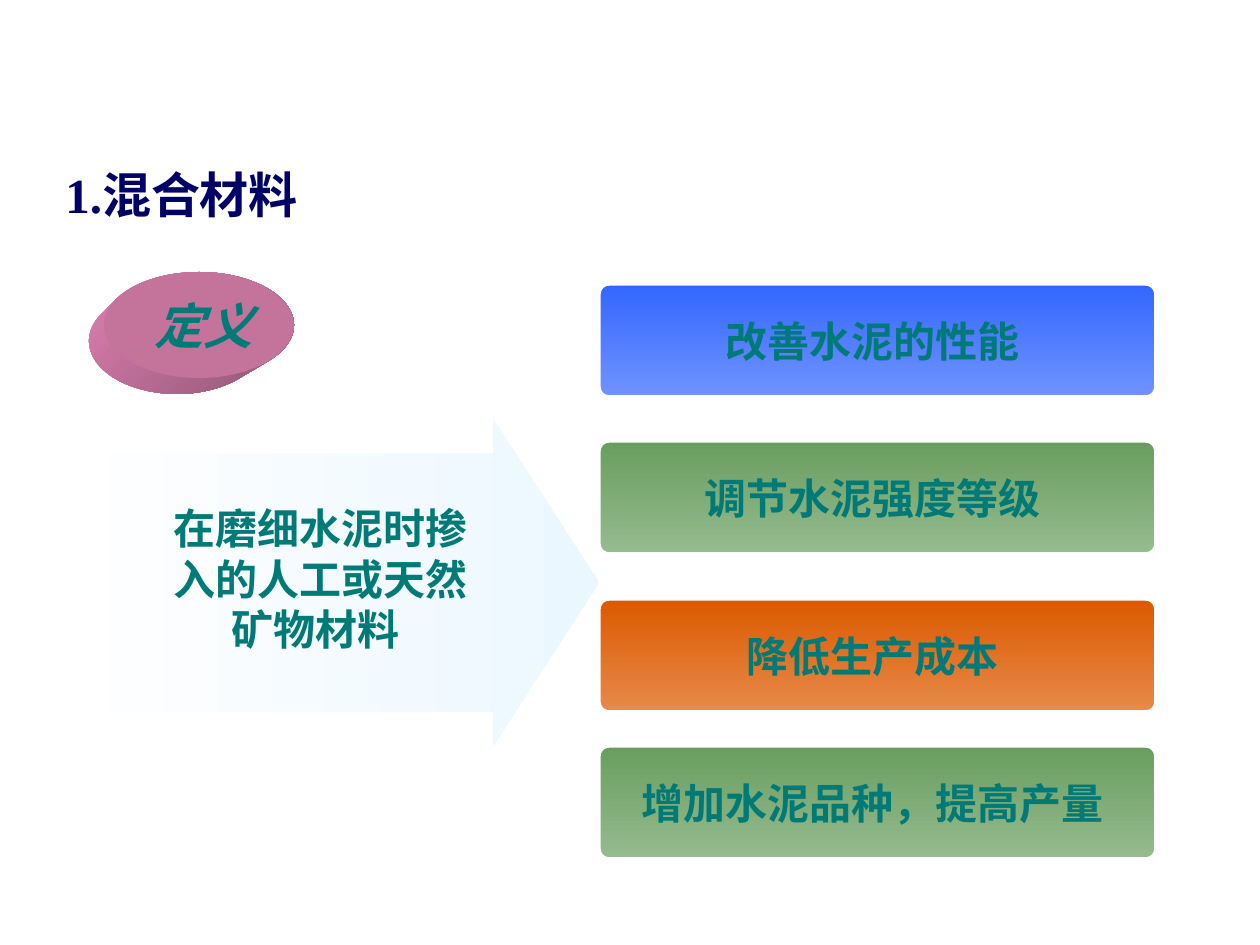
from math import cos, hypot, pi, sin

from pptx import Presentation
from pptx.dml.color import RGBColor
from pptx.enum.shapes import MSO_SHAPE
from pptx.enum.text import MSO_ANCHOR, PP_ALIGN
from pptx.util import Pt

ELLIPSE, ARROW, ROUND = MSO_SHAPE.OVAL, MSO_SHAPE.RIGHT_ARROW, MSO_SHAPE.ROUNDED_RECTANGLE
MIDDLE, CENTER = MSO_ANCHOR.MIDDLE, PP_ALIGN.CENTER
SCALE = 914400 / 126
FONT = "Times New Roman"
TEAL, NAVY, WHITE = "007A77", "000066", "FFFFFF"
CORNER = 0.09
BENEFITS = [
    (284, "改善水泥的性能 ", "3366FF", "7093FF"),
    (441, "调节水泥强度等级 ", "699D5F", "96BB8F"),
    (599, "降低生产成本 ", "DC5900", "E78A4A"),
    (746, "增加水泥品种，提高产量 ", "699D5F", "96BB8F"),
]


def px(n):
    """Turn px into EMU."""
    return round(n * SCALE)


def color(value):
    """Turn a hex string into a colour."""
    return RGBColor.from_string(value)


def add_shape(s, kind, box, adjustments=()):
    """Add a preset shape with no shadow, fill or line."""
    sp = s.shapes.add_shape(kind, *map(px, box))
    sp.shadow.inherit = False
    sp.fill.background()
    sp.line.fill.background()
    for i, value in enumerate(adjustments):
        sp.adjustments[i] = value
    return sp


def set_gradient(sp, start, end, angle):
    """Fill a shape with a linear gradient of two colours."""
    sp.fill.gradient()
    sp.fill.gradient_angle = angle
    for stop, value in zip(sp.fill.gradient_stops, (start, end)):
        stop.color.rgb = color(value)


def set_text(sp, text, size, fill=TEAL, wrap=False):
    """Write one bold paragraph into a shape and return it."""
    tf = sp.text_frame
    tf.word_wrap = wrap
    p = tf.paragraphs[0]
    p.text = text
    p.font.name, p.font.size, p.font.bold = FONT, Pt(size), True
    p.font.color.rgb = color(fill)
    return p


def set_label(sp, text, size, wrap=False):
    """Write a centred label into a shape and return its paragraph."""
    sp.text_frame.vertical_anchor = MIDDLE
    p = set_text(sp, text, size, wrap=wrap)
    p.alignment = CENTER
    return p


def add_title(s, x, y, w, h):
    """Add the section title."""
    set_text(s.shapes.add_textbox(*map(px, (x, y, w, h))), "1.混合材料", 28, NAVY, True)


def add_disc(s, x, y, w, h):
    """Add the thick disc that carries the definition label."""
    front = (x + w / 2, y + h / 2, w / 2, h / 2)
    back = (front[0] - 22, front[1] + 16, front[2] - 7, front[3])
    points = []
    for step in range(120):
        c, n = cos(step * pi / 60), sin(step * pi / 60)
        cx, cy, rx, ry = max(
            (front, back), key=lambda e: e[0] * c + e[1] * n + hypot(e[2] * c, e[3] * n))
        reach = hypot(rx * c, ry * n)
        points.append((px(cx + rx * rx * c / reach), px(cy + ry * ry * n / reach)))
    builder = s.shapes.build_freeform(*points[0])
    builder.add_line_segments(points[1:])
    side = builder.convert_to_shape()
    side.shadow.inherit = False
    side.line.fill.background()
    set_gradient(side, "E080B3", "8E5673", 315)
    face = add_shape(s, ELLIPSE, (x, y, w, h))
    face.fill.solid()
    face.fill.fore_color.rgb = color("C4739B")
    face.text_frame.margin_left = px(22)
    set_label(face, "定义", 28).font.italic = True


def add_definition(s, x, y, w, h):
    """Add the arrow and the definition on it."""
    arrow = add_shape(s, ARROW, (x, y, w, h), (0.793, 0.324))
    set_gradient(arrow, WHITE, "EBF7FF", 0)
    label = add_shape(s, ROUND, (x + 94, y + 84, 347, 149), (CORNER,))
    set_label(label, "在磨细水泥时掺入的人工或天然矿物材料 ", 24, True)


def add_benefit(s, x, y, w, h, text, start, end):
    """Add one benefit bar."""
    bar = add_shape(s, ROUND, (x, y, w, h), (CORNER,))
    set_gradient(bar, start, end, 270)
    bar.line.color.rgb = color(WHITE)
    bar.line.width = Pt(2)
    set_label(bar, text, 24)


def main():
    """Build the slide and save it."""
    prs = Presentation()
    prs.slide_width, prs.slide_height = px(1260), px(945)
    s = prs.slides.add_slide(prs.slide_layouts[6])
    add_title(s, 53, 158, 260, 72)
    add_disc(s, 104, 272, 190, 106)
    add_definition(s, 53, 420, 546, 325)
    for y, text, start, end in BENEFITS:
        add_benefit(s, 599, y, 557, 113, text, start, end)
    prs.save("out.pptx")


if __name__ == "__main__":
    main()
